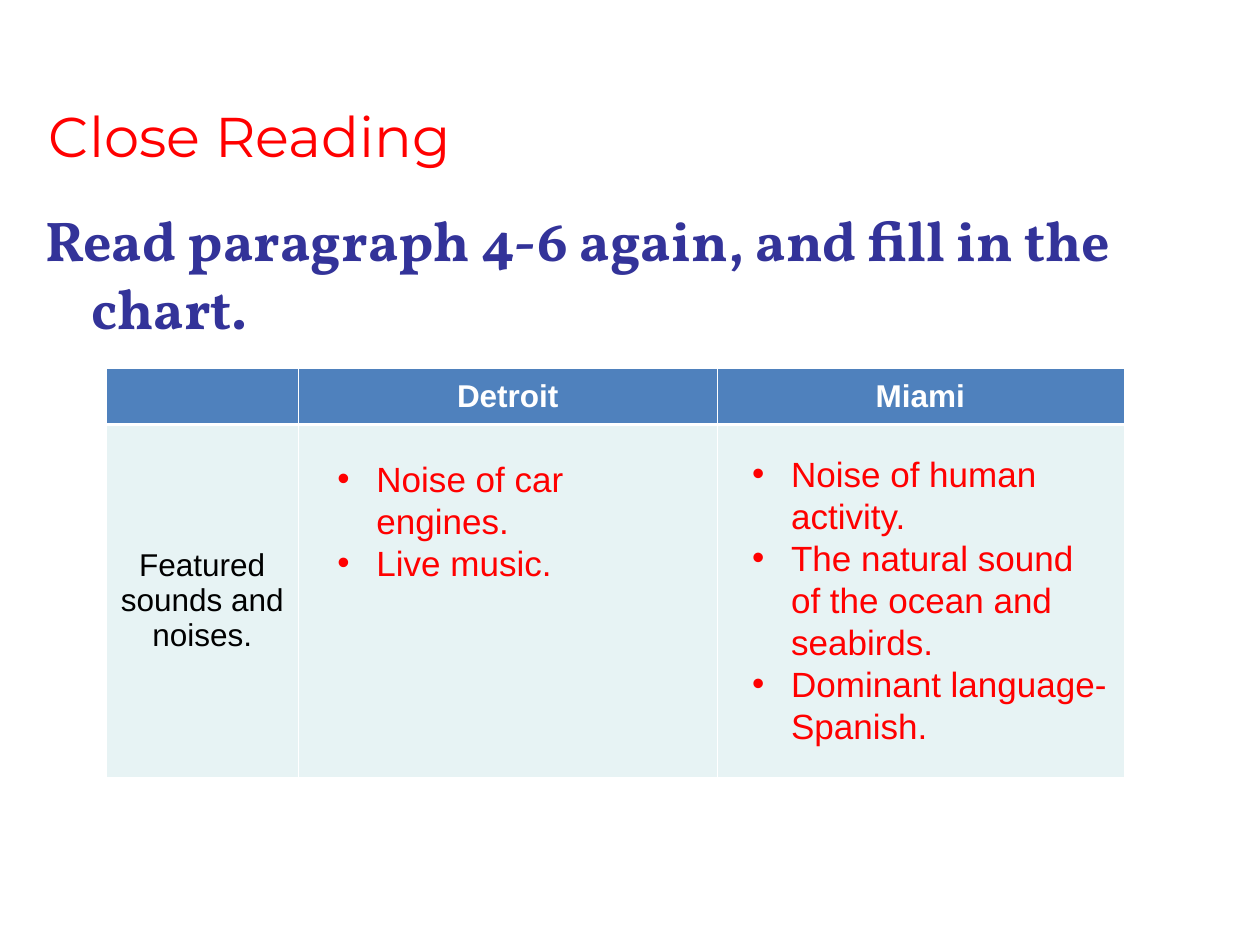
from lxml import etree
from pptx import Presentation
from pptx.dml.color import RGBColor
from pptx.enum.text import MSO_ANCHOR, PP_ALIGN
from pptx.oxml.ns import qn
from pptx.util import Inches, Pt

CENTER, MIDDLE = PP_ALIGN.CENTER, MSO_ANCHOR.MIDDLE

RED = RGBColor(0xFF, 0x00, 0x00)
NAVY = RGBColor(0x33, 0x33, 0x99)
BLUE = RGBColor(0x4F, 0x81, 0xBD)
PALE = RGBColor(0xE7, 0xF3, 0xF4)
WHITE = RGBColor(0xFF, 0xFF, 0xFF)
BLACK = RGBColor(0x00, 0x00, 0x00)

THIN, THICK = 0.45, 1.47  # table rule widths in points


class LessonSlide:
    """Style and current slide; lengths are in a 100 by 75 grid."""

    title_font, heading_font, body_font = "Montserrat", "Vollkorn", "Arial"

    def __init__(self, presentation):
        self.slide = presentation.slides.add_slide(presentation.slide_layouts[6])
        self.unit = presentation.slide_width / 100

    def grid(self, *lengths):
        return [round(length * self.unit) for length in lengths]

    def fill_text(self, text_frame, lines, font, size, color,
                  bold=False, spacing=None, align=None, indent=0, bullet=False):
        text_frame.text = "\n".join(lines)
        for paragraph in text_frame.paragraphs:
            properties = paragraph._p.get_or_add_pPr()
            if indent:
                (left,) = self.grid(indent)
                properties.set("marL", str(left))
                properties.set("indent", str(-left))
            if spacing:
                paragraph.line_spacing = Pt(spacing)
            if bullet:
                bullet_color = etree.SubElement(properties, qn("a:buClr"))
                etree.SubElement(bullet_color, qn("a:srgbClr"), val=str(color))
                etree.SubElement(properties, qn("a:buFont"), typeface=font)
                etree.SubElement(properties, qn("a:buChar"), char="•")
            paragraph.alignment = align
            for run in paragraph.runs:
                run.font.name = font
                run.font.size = Pt(size)
                run.font.bold = bold
                run.font.color.rgb = color

    def text(self, box, lines, font, size, color, top_inset=0.5, **style):
        shape = self.slide.shapes.add_textbox(*self.grid(*box))
        shape.text_frame.word_wrap = True
        (shape.text_frame.margin_top,) = self.grid(top_inset)
        self.fill_text(shape.text_frame, lines, font, size, color, **style)

    def bullets(self, box, lines):
        self.text(box, lines, self.body_font, 20, RED,
                  spacing=24, indent=3.1, bullet=True)

    def border(self, cell, top, bottom):
        properties = cell._tc.get_or_add_tcPr()
        sides = (("L", THIN), ("R", THIN), ("T", top), ("B", bottom))
        for position, (side, width) in enumerate(sides):
            line = etree.Element(qn(f"a:ln{side}"), w=str(Pt(width)))
            fill = etree.SubElement(line, qn("a:solidFill"))
            etree.SubElement(fill, qn("a:srgbClr"), val=str(WHITE))
            properties.insert(position, line)

    def table(self, left, top, widths, heights, rows):
        box = self.grid(left, top, sum(widths), sum(heights))
        table = self.slide.shapes.add_table(len(heights), len(widths), *box).table
        for column, width in zip(table.columns, self.grid(*widths)):
            column.width = width
        for row, height in zip(table.rows, self.grid(*heights)):
            row.height = height
        for row_index, row in enumerate(rows):
            header = row_index == 0
            for column_index, lines in enumerate(row):
                cell = table.cell(row_index, column_index)
                cell.fill.solid()
                cell.fill.fore_color.rgb = BLUE if header else PALE
                cell.vertical_anchor = MIDDLE
                self.border(cell, *((THIN, THICK) if header else (THICK, THIN)))
                if lines:
                    self.fill_text(cell.text_frame, lines, self.body_font, 18,
                                   WHITE if header else BLACK, bold=header,
                                   spacing=20, align=CENTER)


def main():
    presentation = Presentation()
    presentation.slide_width, presentation.slide_height = Inches(10), Inches(7.5)
    lesson = LessonSlide(presentation)

    # Instruction and title
    lesson.text((2.6, 14.6, 92.5, 17.9),
                ["Read paragraph 4-6 again, and fill in the chart."],
                lesson.heading_font, 32, NAVY, top_inset=1.6,
                bold=True, spacing=39, indent=3.7)
    lesson.text((2.9, 7.6, 46.7, 6.4), ["Close Reading"],
                lesson.title_font, 32, RED)

    # Chart to fill in
    lesson.table(8.4, 29.2, (15.3, 33.2, 32.3), (4.5, 28), [
        [[], ["Detroit"], ["Miami"]],
        [["Featured", "sounds and", "noises."], [], []],
    ])

    # Answers laid over the chart
    lesson.bullets((25.8, 35.8, 26.7, 11),
                   ["Noise of car engines.", "Live music."])
    lesson.bullets((58.7, 35.4, 30.2, 24.4),
                   ["Noise of human activity.",
                    "The natural sound of the ocean and seabirds.",
                    "Dominant language-Spanish."])

    presentation.save("out.pptx")


if __name__ == "__main__":
    main()
